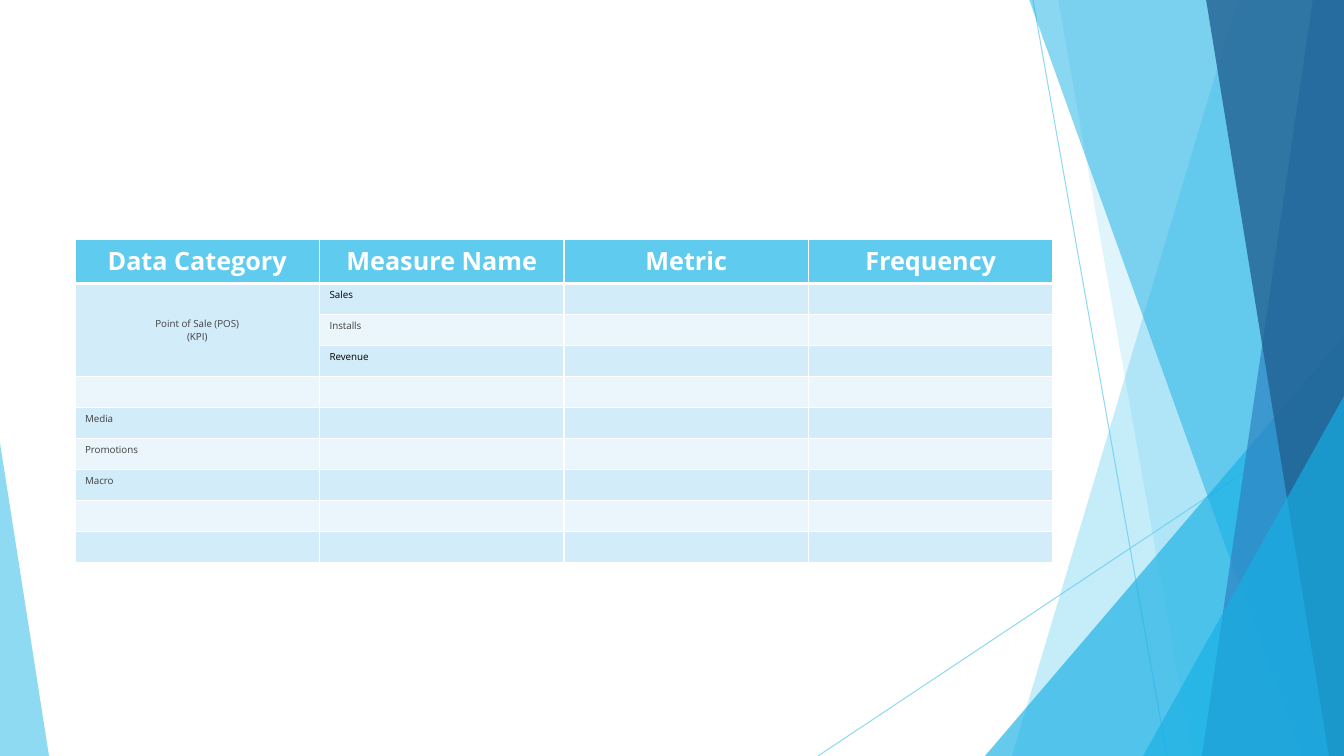
import dataclasses

import lxml.etree
import pptx
import pptx.dml.color
import pptx.enum.shapes
import pptx.enum.text
import pptx.oxml.ns
import pptx.util

WIDTH, HEIGHT = 1344, 756
EMU_PER_PIXEL = 914400 / 100.8


def emu(pixels):
    return pptx.util.Emu(round(pixels * EMU_PER_PIXEL))


def rgb(color):
    return pptx.dml.color.RGBColor.from_string(color)


def add_element(parent, tag, **attributes):
    return lxml.etree.SubElement(parent, pptx.oxml.ns.qn(tag), attributes)


@dataclasses.dataclass(frozen=True)
class Theme:
    font: str = "Open Sans"
    sky: str = "5FCBEF"
    cyan: str = "17B0E4"
    blue: str = "2E83C3"
    navy: str = "226292"
    white: str = "FFFFFF"
    black: str = "000000"
    gray: str = "404040"
    row_dark: str = "D2ECF9"
    row_light: str = "EAF6FC"
    header_size: int = 18
    body_size: int = 7
    thin_border: int = 1
    thick_border: int = 3
    line_width: float = 0.75


class SlideBuilder:
    def __init__(self, slide, theme):
        self.slide = slide
        self.theme = theme

    def set_alpha(self, element, percent):
        color = element.find(".//" + pptx.oxml.ns.qn("a:srgbClr"))
        add_element(color, "a:alpha", val=str(percent * 1000))

    def style_veil(self, shape, color, alpha):
        shape.shadow.inherit = False
        shape.fill.solid()
        shape.fill.fore_color.rgb = rgb(color)
        shape.line.fill.background()
        self.set_alpha(shape._element.spPr, alpha)

    def line(self, start, end, color, alpha):
        connector = self.slide.shapes.add_connector(
            pptx.enum.shapes.MSO_CONNECTOR.STRAIGHT, *map(emu, (*start, *end)))
        connector.line.color.rgb = rgb(color)
        connector.line.width = pptx.util.Pt(self.theme.line_width)
        self.set_alpha(connector._element.spPr, alpha)
        add_element(connector._element.spPr, "a:effectLst")

    def band(self, top_x, bottom_x, color, alpha):
        builder = self.slide.shapes.build_freeform(emu(top_x), emu(-1))
        corners = [(WIDTH, -1), (WIDTH, HEIGHT), (bottom_x, HEIGHT)]
        builder.add_line_segments([(emu(x), emu(y)) for x, y in corners], close=True)
        self.style_veil(builder.convert_to_shape(), color, alpha)

    def triangle(self, left, top, width, apex, color, alpha):
        shape = self.slide.shapes.add_shape(
            pptx.enum.shapes.MSO_SHAPE.ISOSCELES_TRIANGLE,
            *map(emu, (left, top, width, HEIGHT - top)))
        shape.adjustments[0] = apex
        self.style_veil(shape, color, alpha)

    def cell(self, cell, lines, size, color, fill, bold=False, centered=False,
             top=1, bottom=1):
        properties = cell._tc.get_or_add_tcPr()
        thin = self.theme.thin_border
        for side, width in (("L", thin), ("R", thin), ("T", top), ("B", bottom)):
            border = add_element(properties, "a:ln" + side, w=str(pptx.util.Pt(width)))
            border_fill = add_element(border, "a:solidFill")
            add_element(border_fill, "a:srgbClr", val=self.theme.white)
        cell.fill.solid()
        cell.fill.fore_color.rgb = rgb(fill)
        for index, text in enumerate(lines or [""]):
            frame = cell.text_frame
            paragraph = frame.add_paragraph() if index else frame.paragraphs[0]
            if centered:
                paragraph.alignment = pptx.enum.text.PP_ALIGN.CENTER
            if text:
                run = paragraph.add_run()
                run.text = text
                run.font.name = self.theme.font
                run.font.size = pptx.util.Pt(size)
                run.font.bold = bold
                run.font.color.rgb = rgb(color)
            else:
                add_element(paragraph._p, "a:endParaRPr", sz=str(size * 100))

    def table(self, left, top, width, header_height, row_height, headers, rows):
        theme = self.theme
        height = header_height + row_height * len(rows)
        table = self.slide.shapes.add_table(
            len(rows) + 1, len(headers), *map(emu, (left, top, width, height))).table
        for index, row in enumerate(table.rows):
            row.height = emu(row_height if index else header_height)
        for column, header in enumerate(headers):
            self.cell(table.cell(0, column), [header], theme.header_size, theme.white,
                      theme.sky, bold=True, centered=True, bottom=theme.thick_border)
        for index, texts in enumerate(rows, 1):
            fill = theme.row_dark if index % 2 else theme.row_light
            border = theme.thick_border if index == 1 else theme.thin_border
            for column in range(len(headers)):
                lines, color = texts.get(column, ([], theme.gray))
                self.cell(table.cell(index, column), lines, theme.body_size, color,
                          fill, centered=len(lines) > 1, top=border)
        return table


theme = Theme()
presentation = pptx.Presentation()
presentation.slide_width, presentation.slide_height = emu(WIDTH), emu(HEIGHT)
slide = presentation.slides.add_slide(presentation.slide_layouts[6])
builder = SlideBuilder(slide, theme)

builder.line((1033, 0), (1167, HEIGHT), theme.sky, 70)
builder.line((WIDTH, 406), (818, HEIGHT), theme.sky, 70)
builder.band(1238, 1012, theme.sky, 36)
builder.band(1058, 1192, theme.sky, 20)
builder.triangle(985, 336, 359, 1, theme.cyan, 66)
builder.band(1029, 1301, theme.cyan, 50)
builder.band(1313, 1202, theme.blue, 70)
builder.band(1206, 1329, theme.navy, 80)
builder.triangle(1143, 396, 201, 1, theme.cyan, 66)
builder.triangle(0, 443, 49, 0, theme.sky, 70)

headers = ["Data Category", "Measure Name", "Metric", "Frequency"]
rows = [
    {0: (["Point of Sale (POS)", "(KPI)"], theme.gray), 1: (["Sales"], theme.black)},
    {1: (["Installs"], theme.gray)},
    {1: (["Revenue"], theme.black)},
    {},
    {0: (["Media"], theme.gray)},
    {0: (["Promotions"], theme.gray)},
    {0: (["Macro"], theme.gray)},
    {},
    {},
]
table = builder.table(75, 239, 978, 44, 31, headers, rows)
category = table.cell(1, 0)
category.merge(table.cell(3, 0))
category.vertical_anchor = pptx.enum.text.MSO_ANCHOR.MIDDLE

presentation.save("out.pptx")
